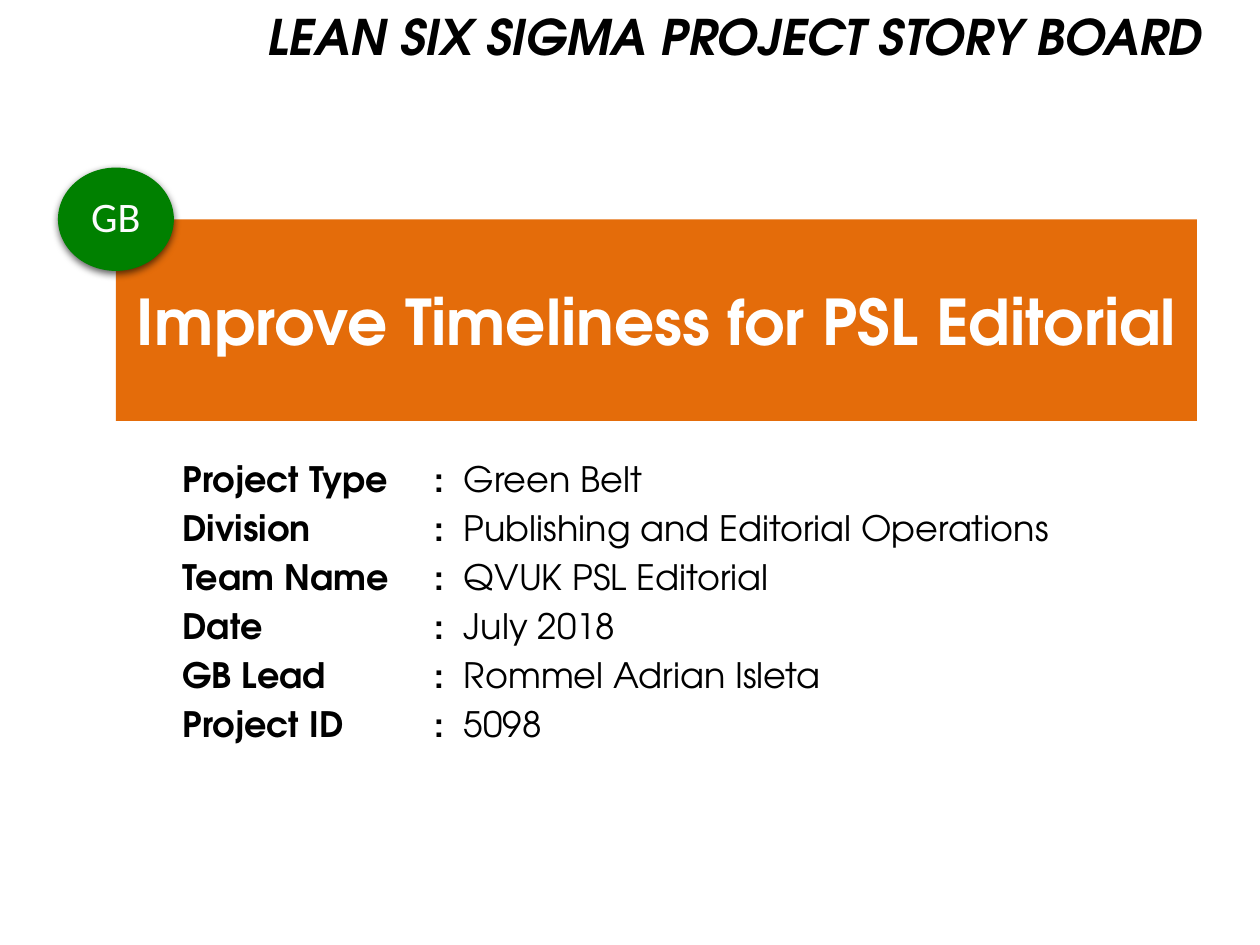
"""Build the cover slide of a Lean Six Sigma project story board."""
from dataclasses import dataclass

from lxml.etree import SubElement
from pptx import Presentation
from pptx.dml.color import RGBColor
from pptx.enum.shapes import MSO_SHAPE
from pptx.enum.text import MSO_ANCHOR, MSO_AUTO_SIZE, PP_ALIGN
from pptx.oxml import parse_xml
from pptx.oxml.ns import nsdecls, qn
from pptx.util import Inches, Pt


@dataclass(frozen=True)
class Theme:
    heading_font: str = "TeX Gyre Adventor"
    badge_font: str = "Calibri"
    black: RGBColor = RGBColor(0x00, 0x00, 0x00)
    white: RGBColor = RGBColor(0xFF, 0xFF, 0xFF)
    orange: RGBColor = RGBColor(0xE4, 0x6C, 0x0A)
    green: RGBColor = RGBColor(0x00, 0x80, 0x00)
    badge_text: RGBColor = RGBColor(0xFC, 0xFC, 0xFD)
    title_size: Pt = Pt(36)
    header_size: Pt = Pt(28)
    badge_size: Pt = Pt(24)
    detail_size: Pt = Pt(20)


def style(para, name, size, color, bold=None):
    para.font.name = name
    para.font.size = size
    para.font.color.rgb = color
    para.font.bold = bold


theme = Theme()
details = [
    ("Project Type", "Green Belt"),
    ("Division", "Publishing and Editorial Operations"),
    ("Team Name", "QVUK PSL Editorial"),
    ("Date", "July 2018"),
    ("GB Lead", "Rommel Adrian Isleta"),
    ("Project ID", "5098"),
]

deck = Presentation()
deck.slide_width, deck.slide_height = Inches(10), Inches(7.5)
slide = deck.slides.add_slide(deck.slide_layouts[5])

title = slide.shapes.title
title.left, title.top = Inches(0.92), Inches(1.74)
title.width, title.height = Inches(8.58), Inches(1.6)
title.fill.solid()
title.fill.fore_color.rgb = theme.orange
title.text_frame.text = "Improve Timeliness for PSL Editorial"
title.text_frame.auto_size = MSO_AUTO_SIZE.NONE
title.text_frame.vertical_anchor = MSO_ANCHOR.MIDDLE
para = title.text_frame.paragraphs[0]
para.alignment = PP_ALIGN.CENTER
style(para, theme.heading_font, theme.title_size, theme.white, True)

box = slide.shapes.add_textbox(Inches(1.35), Inches(3.58), Inches(7.73), Inches(2.58))
frame = box.text_frame
frame.word_wrap = True
for index, (label, value) in enumerate(details):
    para = frame.add_paragraph() if index else frame.paragraphs[0]
    tabs = SubElement(para._p.get_or_add_pPr(), qn("a:tabLst"))
    SubElement(tabs, qn("a:tab"), pos=str(Inches(2)), algn="l")
    para.space_before = Pt(4)
    style(para, theme.heading_font, theme.detail_size, theme.black)
    for text, bold in ((f"{label}\t:  ", True), (value, False)):
        span = para.add_run()
        span.text = text
        span.font.bold = bold

header = slide.shapes.add_textbox(Inches(0.49), Inches(0), Inches(9.15), Inches(0.57))
header.text_frame.word_wrap = True
header.text_frame.text = "LEAN SIX SIGMA PROJECT STORY BOARD"
para = header.text_frame.paragraphs[0]
para.alignment = PP_ALIGN.RIGHT
style(para, theme.heading_font, theme.header_size, theme.black, True)
para.font.italic = True

badge = slide.shapes.add_shape(
    MSO_SHAPE.OVAL, Inches(0.46), Inches(1.33), Inches(0.92), Inches(0.82)
)
badge.fill.solid()
badge.fill.fore_color.rgb = theme.green
badge.line.fill.background()
badge.shadow.inherit = False
badge._element.spPr.find(qn("a:effectLst")).append(parse_xml(
    f'<a:outerShdw {nsdecls("a")} blurRad="{Pt(4.5)}" dist="{Pt(1.5)}" dir="5400000">'
    f'<a:srgbClr val="{theme.black}"><a:alpha val="63000"/></a:srgbClr></a:outerShdw>'
))
badge.text_frame.word_wrap = False
badge.text_frame.vertical_anchor = MSO_ANCHOR.MIDDLE
badge.text_frame.text = "GB"
para = badge.text_frame.paragraphs[0]
para.alignment = PP_ALIGN.CENTER
para.line_spacing = 0.9
style(para, theme.badge_font, theme.badge_size, theme.badge_text)

deck.save("out.pptx")
